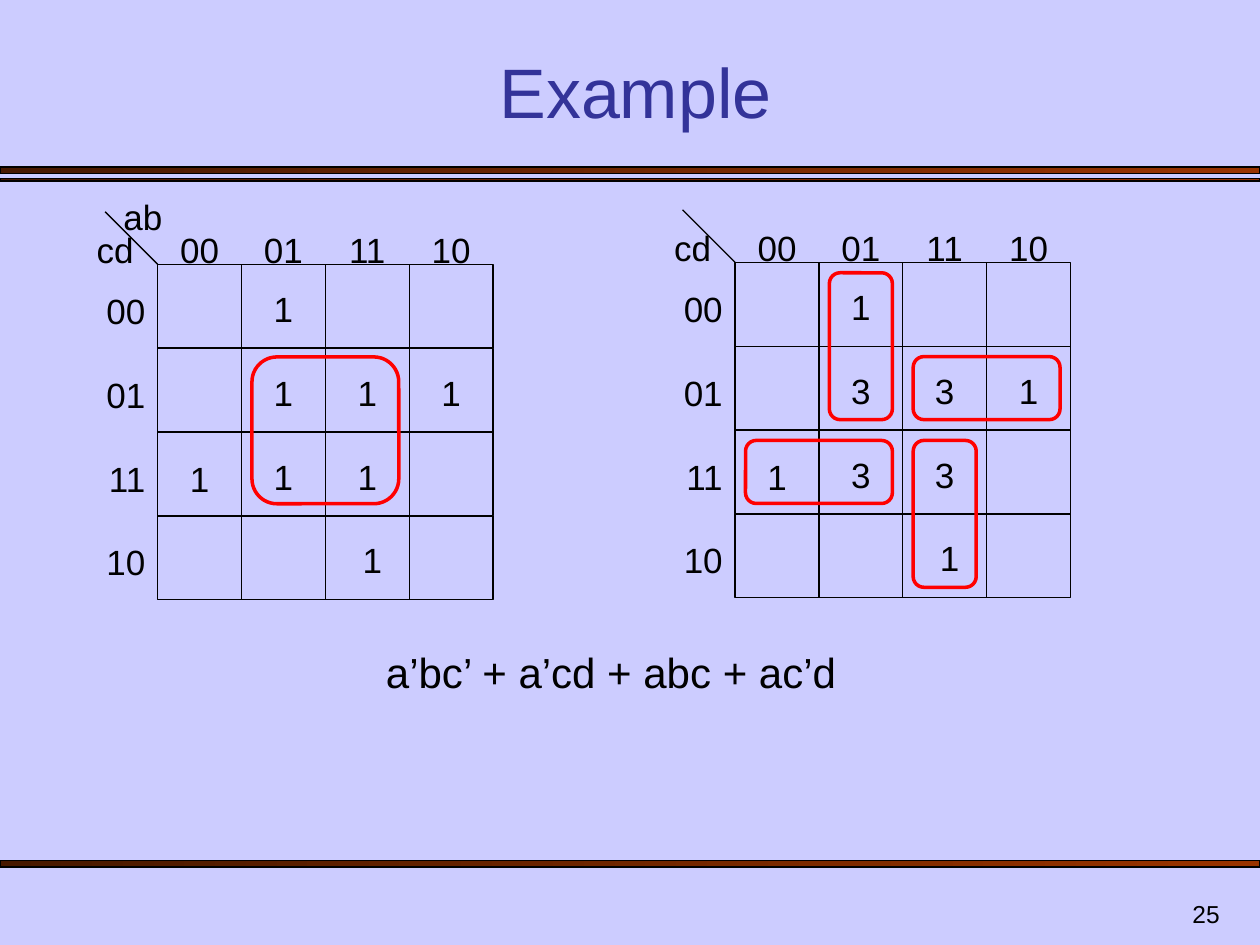
"""Build a slide with two Karnaugh maps and the resulting sum of products."""
from dataclasses import dataclass

from lxml import etree
from pptx import Presentation
from pptx import util as u
from pptx.dml.color import RGBColor
from pptx.enum import shapes, text
from pptx.oxml.ns import qn


@dataclass(frozen=True)
class Theme:
    """Colours, font and type sizes."""
    background: str = "CCCCFF"
    ink: str = "000000"
    heading: str = "333399"
    loop: str = "FF0000"
    bar: tuple = ("471800", "993300")
    font: str = "Arial"
    title_size: int = 40
    formula_size: int = 24
    map_size: int = 20
    number_size: int = 14
    thin: float = 0.75
    thick: float = 2


GRAY_CODE = ("00", "01", "11", "10")
CELL = 1.69
LABEL_HEIGHT = 1.12
HEADER_RISE = 0.85
ROW_LABEL_WIDTH = 1.48
ROW_LABEL_DROP = 0.38
VALUE_DROP = 0.34
DIAGONAL = 1.06
LOOP_INSET = 0.21
NUDGES = {(2, 0): (0, 0.04), (3, 2): (0.1, 0)}

FIRST_MAP = (3.18, 5.33, (" 1  ", " 111", "111 ", "  1 "))
SECOND_MAP = (14.82, 5.29, (" 1  ", " 331", "133 ", "  1 "))
SQUARE_LOOP = (0.98, 1, 2, 2)
PAIR_LOOPS = ((2, 2, 2, 1), (1, 2, 1, 2), (0, 1, 2, 1), (2, 0, 1, 2))


def write(frame, words, *, size, color, font, align="LEFT", anchor="TOP", wrap=True):
    """Put one formatted paragraph into a text frame."""
    frame.word_wrap = wrap
    frame.vertical_anchor = getattr(text.MSO_ANCHOR, anchor)
    paragraph = frame.paragraphs[0]
    paragraph.alignment = getattr(text.PP_ALIGN, align)
    run = paragraph.add_run()
    run.text = words
    run.font.size = u.Pt(size)
    run.font.name = font
    run.font.color.rgb = RGBColor.from_string(color)


class Board:
    """Draw themed elements on the current slide, with lengths in centimetres."""

    def __init__(self, slide, theme):
        """Keep the slide and theme, and paint the background."""
        self.slide, self.theme, self.target = slide, theme, slide.shapes
        fill = slide.background.fill
        fill.solid()
        fill.fore_color.rgb = RGBColor.from_string(theme.background)

    def label(self, words, left, top, width, height=LABEL_HEIGHT, **style):
        """Add a text box."""
        box = self.target.add_textbox(*map(u.Cm, (left, top, width, height)))
        defaults = dict(size=self.theme.map_size, color=self.theme.ink, font=self.theme.font)
        write(box.text_frame, words, **(defaults | style))

    def outline(self, preset, left, top, width, height, color, weight):
        """Add an unfilled preset shape."""
        shape = self.target.add_shape(preset, *map(u.Cm, (left, top, width, height)))
        shape.shadow.inherit = False
        shape.fill.background()
        shape.line.color.rgb = RGBColor.from_string(color)
        shape.line.width = u.Pt(weight)
        return shape

    def bar(self, top, height):
        """Add a gradient rule across the slide."""
        rule = self.outline(shapes.MSO_SHAPE.RECTANGLE, 0, top, 25.4, height,
                            self.theme.ink, self.theme.thin)
        rule.fill.gradient()
        rule.fill.gradient_angle = 0
        for position, (stop, color) in enumerate(zip(rule.fill.gradient_stops, self.theme.bar)):
            stop.position = position
            stop.color.rgb = RGBColor.from_string(color)

    def line(self, *ends):
        """Add a thin straight line."""
        connector = self.target.add_connector(shapes.MSO_CONNECTOR.STRAIGHT, *map(u.Cm, ends))
        connector.line.color.rgb = RGBColor.from_string(self.theme.ink)
        connector.line.width = u.Pt(self.theme.thin)
        etree.SubElement(connector._element.spPr, qn("a:effectLst"))

    def loop(self, left, top, row, column, rows, columns):
        """Circle a block of cells in the map at left and top."""
        ring = self.outline(shapes.MSO_SHAPE.ROUNDED_RECTANGLE,
                            left + column * CELL + LOOP_INSET, top + row * CELL + LOOP_INSET,
                            columns * CELL - 2 * LOOP_INSET, rows * CELL - 2 * LOOP_INSET,
                            self.theme.loop, self.theme.thick)
        ring.adjustments[0] = 0.17

    def karnaugh_map(self, left, top, values):
        """Add a grouped four by four map with its labels."""
        self.target = self.slide.shapes.add_group_shape().shapes
        label_left = left - ROW_LABEL_WIDTH
        self.label("cd", label_left, top - HEADER_RISE, 1.27)
        self.line(left - DIAGONAL, top - DIAGONAL, left, top)
        for index, code in enumerate(GRAY_CODE):
            offset = index * CELL
            self.label(code, left + offset, top - HEADER_RISE, CELL, align="CENTER")
            self.label(code, label_left, top + offset + ROW_LABEL_DROP,
                       ROW_LABEL_WIDTH, align="RIGHT")
        for row, marks in enumerate(values):
            for column, mark in enumerate(marks):
                x, y = left + column * CELL, top + row * CELL
                self.outline(shapes.MSO_SHAPE.RECTANGLE, x, y, CELL, CELL,
                             self.theme.ink, self.theme.thin)
                if mark.strip():
                    right, down = NUDGES.get((row, column), (0, 0))
                    self.label(mark, x + right, y + VALUE_DROP + down, CELL, align="CENTER")
        self.target = self.slide.shapes


def main():
    """Assemble and save the slide."""
    deck = Presentation()
    deck.slide_width, deck.slide_height = u.Cm(25.4), u.Cm(19.05)
    theme = Theme()
    board = Board(deck.slides.add_slide(deck.slide_layouts[6]), theme)
    for top, height in ((3.37, 0.13), (3.6, 0.05), (17.35, 0.13)):
        board.bar(top, height)
    board.label("25", 19.56, 17.78, 5.28, 1.07, size=theme.number_size,
                align="RIGHT", anchor="BOTTOM")
    board.label("Example", 1.48, 1.07, 22.66, 1.73, size=theme.title_size,
                color=theme.heading, align="CENTER", anchor="BOTTOM")
    board.label("ab", 2.24, 3.81, 1.35)
    for karnaugh in (FIRST_MAP, SECOND_MAP):
        board.karnaugh_map(*karnaugh)
    board.loop(*FIRST_MAP[:2], *SQUARE_LOOP)
    for pair in PAIR_LOOPS:
        board.loop(*SECOND_MAP[:2], *pair)
    board.label("a’bc’ + a’cd + abc + ac’d", 7.52, 12.9, 9.6, 1.27,
                size=theme.formula_size, align="CENTER", wrap=False)
    deck.save("out.pptx")


if __name__ == "__main__":
    main()
